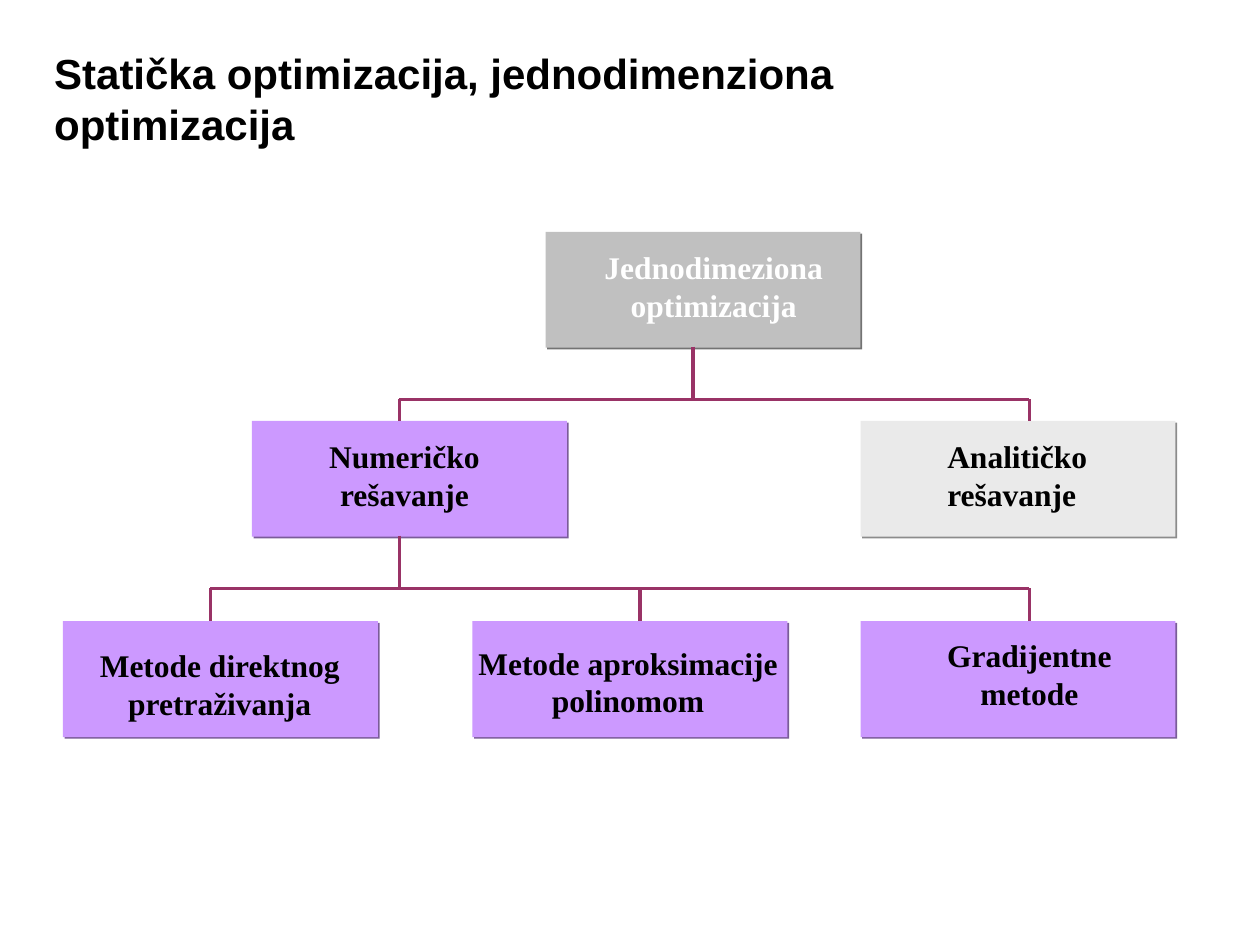
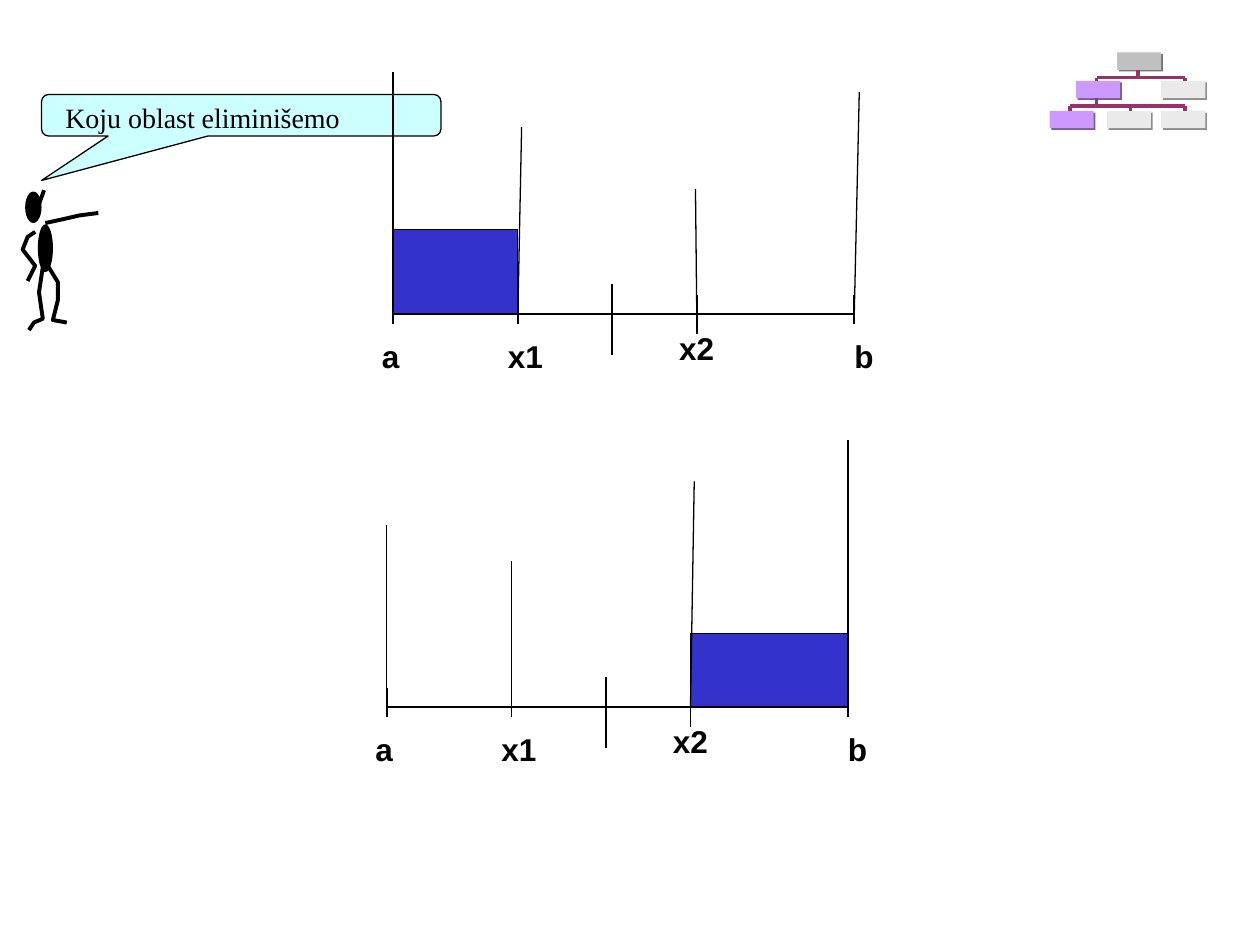
from lxml import etree
from pptx import Presentation
from pptx.dml.color import RGBColor
from pptx.enum.shapes import MSO_CONNECTOR, MSO_SHAPE
from pptx.enum.text import MSO_ANCHOR as ANCHOR, MSO_AUTO_SIZE as AUTO, PP_ALIGN as ALIGN
from pptx.oxml.ns import qn
from pptx.util import Inches, Pt

COLORS = {
    "black": "000000", "white": "FFFFFF", "root": "C0C0C0", "active": "CC99FF",
    "idle": "EAEAEA", "link": "993366", "region": "3333CC", "bubble": "CCFFFF",
}
SHADOWS = {"root": "737373", "active": "7A5C99", "idle": "8C8C8C"}
SERIF, SANS = "Times New Roman", "Arial"

# Method tree: box corners by level, then (stem x, bus y, child x's)
BOX_W, BOX_H = 2.5, 0.92
LEVELS = {1.84: [4.33], 3.34: [6.83, 2], 4.93: [0.5, 3.75, 6.83]}
BRANCHES = [(5.5, 3.17, 3.34, (3.17, 8.17)), (3.17, 4.67, 4.93, (1.67, 5.08, 8.17))]
STEM = 0.42

# Axis: tick x's, and labels as (text, x, y)
AXIS_Y = 2.49
TICKS = {"a": 3.12, "x1": 4.11, "middle": 4.86, "x2": 5.53, "b": 6.78}
LABELS = [("a", 2.96, 2.69), ("b", 6.71, 2.69), ("x1", 3.96, 2.69), ("x2", 5.32, 2.63)]

# Limbs of the pointing figure, in hundredths of an inch
LIMBS = [
    [(31, 162), (35, 151)],
    [(36, 177), (50, 174), (63, 171), (78, 169)],
    [(28, 184), (22, 188), (18, 198), (28, 211), (22, 223)],
    [(38, 211), (46, 224), (46, 238), (42, 254), (53, 256)],
    [(34, 212), (31, 232), (34, 253), (27, 256), (23, 262)],
]


def rgb(name):
    return RGBColor.from_string(COLORS[name])


def write(tf, text, size=18, font=SERIF, color="black", bold=True, align=ALIGN.LEFT,
          before=0, spacing=1.0, insets=(0.1, 0.05), wrap=True):
    """Fill a text frame with one formatted paragraph."""
    tf.word_wrap = wrap
    tf.auto_size = AUTO.SHAPE_TO_FIT_TEXT
    tf.vertical_anchor = ANCHOR.TOP
    tf.margin_left = tf.margin_right = Inches(insets[0])
    tf.margin_top = tf.margin_bottom = Inches(insets[1])
    p = tf.paragraphs[0]
    p.alignment, p.space_before, p.line_spacing = align, Pt(before), spacing
    r = p.add_run()
    r.text = text
    r.font.size, r.font.name, r.font.bold = Pt(size), font, bold
    r.font.color.rgb = rgb(color)


class Deck:
    def __init__(self):
        self.prs = Presentation()
        self.prs.slide_width, self.prs.slide_height = Inches(10), Inches(7.5)
        self.s = None

    def slide(self, layout):
        self.s = self.prs.slides.add_slide(self.prs.slide_layouts.get_by_name(layout))

    def title(self, text, x, y, w, h):
        sp = self.s.shapes.title
        sp.left, sp.top, sp.width, sp.height = map(Inches, (x, y, w, h))
        write(sp.text_frame, text, size=24, font=SANS, before=15)

    def text(self, text, x, y, w, h, **fmt):
        sp = self.s.shapes.add_textbox(*map(Inches, (x, y, w, h)))
        write(sp.text_frame, text, **fmt)

    def shape(self, x, y, w, h, fill, kind=MSO_SHAPE.RECTANGLE, outline=True):
        sp = self.s.shapes.add_shape(kind, *map(Inches, (x, y, w, h)))
        sp.shadow.inherit = False
        sp.fill.solid()
        sp.fill.fore_color.rgb = rgb(fill)
        if outline:
            sp.line.color.rgb, sp.line.width = rgb("black"), Pt(0.75)
        else:
            sp.line.fill.background()
        if fill in SHADOWS:
            effects = sp._element.spPr.find(qn("a:effectLst"))
            shadow = etree.SubElement(effects, qn("a:outerShdw"),
                                      dist=str(Pt(1.4)), dir=str(45 * 60000))
            etree.SubElement(shadow, qn("a:srgbClr"), val=SHADOWS[fill])
        return sp

    def stroke(self, points, width):
        fb = self.s.shapes.build_freeform(*points[0], scale=Inches(0.01))
        fb.add_line_segments(points[1:], close=False)
        sp = fb.convert_to_shape()
        sp.shadow.inherit = False
        sp.fill.background()
        sp.line.color.rgb, sp.line.width = rgb("black"), Pt(width)

    def line(self, x1, y1, x2, y2, width=1.0, color="black"):
        c = self.s.shapes.add_connector(MSO_CONNECTOR.STRAIGHT,
                                        *map(Inches, (x1, y1, x2, y2)))
        c.line.color.rgb, c.line.width = rgb(color), Pt(width)
        etree.SubElement(c._element.spPr, qn("a:effectLst"))

    def tree(self, fills, left=0.0, top=0.0, kx=1.0, ky=1.0):
        """Draw the method tree, scaled by kx and ky and moved to left, top."""
        nodes = [(x, y) for y, xs in LEVELS.items() for x in xs]
        for (x, y), fill in zip(nodes, fills):
            self.shape(left + x * kx, top + y * ky, BOX_W * kx, BOX_H * ky, fill, outline=False)
        for stem, bus, end, drops in BRANCHES:
            links = [(drops[0], bus, drops[-1], bus), (stem, bus - STEM, stem, bus)]
            links += [(x, bus, x, end) for x in drops]
            for x1, y1, x2, y2 in links:
                self.line(left + x1 * kx, top + y1 * ky, left + x2 * kx, top + y2 * ky,
                          2, "link")

    def interval(self, dx, dy, region, posts):
        """Draw an axis with ticks, labels, the dropped region and function values."""
        base = AXIS_Y + dy
        self.line(TICKS["a"] + dx, base, TICKS["b"] + dx, base)
        for name, x, y in LABELS:
            self.text(name, x + dx, y + dy, 0.14 + 0.14 * len(name), 0.31, font=SANS,
                      spacing=0.85, insets=(0.07, 0.03), wrap=False)
        for name, x in TICKS.items():
            up = 0.24 if name == "middle" else 0.15
            down = {"middle": 0.33, "x2": 0.16}.get(name, 0.08)
            self.line(x + dx, base - up, x + dx, base + down)
        start, end, height = region
        x = TICKS[start] + dx
        self.shape(x, base - height, TICKS[end] + dx - x, height, "region")
        for name, (lean, top) in posts.items():
            x = TICKS[name] + dx
            self.line(x, base, x + lean, top, 0.75)

    def figure(self):
        for x, y, w, h in [(0.2, 1.52, 0.13, 0.25), (0.3, 1.78, 0.12, 0.38)]:
            self.shape(x, y, w, h, "black", MSO_SHAPE.OVAL, outline=False)
        for points in LIMBS:
            self.stroke(points, 2.25)


def main():
    deck = Deck()

    # Slide 1: tree of methods
    deck.slide("Title Only")
    deck.tree(["root", "idle"] + ["active"] * 4)
    for text, x, y, w, fmt in [
        ("Jednodimeziona optimizacija", 4.58, 1.92, 2.17, {"color": "white"}),
        ("Analitičko rešavanje", 7.42, 3.42, 1.46, {"align": ALIGN.LEFT}),
        ("Numeričko rešavanje", 2.25, 3.42, 1.92, {}),
        ("Metode direktnog pretraživanja", 0.58, 5.08, 2.33, {}),
        ("Metode aproksimacije polinomom", 3.61, 5.06, 2.75, {}),
        ("Gradijentne metode", 7.13, 5, 2.08, {}),
    ]:
        deck.text(text, x, y, w, 0.7, **{"align": ALIGN.CENTER, "before": 11.2, **fmt})
    deck.title("Statička optimizacija, jednodimenziona optimizacija", 0.33, 0.33, 7.5, 0.9)

    # Slide 2: question and pointing figure
    deck.slide("Blank")
    bubble = deck.shape(0.33, 0.75, 3.17, 0.33, "bubble", MSO_SHAPE.ROUNDED_RECTANGULAR_CALLOUT)
    for i, value in enumerate((-0.5, 1.57, 0.17)):
        bubble.adjustments[i] = value
    deck.figure()
    deck.text("Koju oblast eliminišemo", 0.42, 0.75, 3.25, 0.37, size=16, bold=False, before=10)

    # Eliminated regions: left end, then right end
    deck.interval(0, 0, ("a", "x1", 0.67),
                  {"a": (0, 0.57), "x1": (0.03, 1.01), "x2": (-0.01, 1.5), "b": (0.04, 0.73)})
    deck.interval(-0.05, 3.12, ("x2", "b", 0.58),
                  {"a": (0, 4.17), "x1": (0, 4.45), "x2": (0.03, 3.82), "b": (0, 3.49)})

    # Small tree marking the current method
    deck.tree(["root", "idle", "active", "active", "idle", "idle"], 8.26, 0.14, 0.14, 0.15)

    deck.prs.save("out.pptx")


if __name__ == "__main__":
    main()
